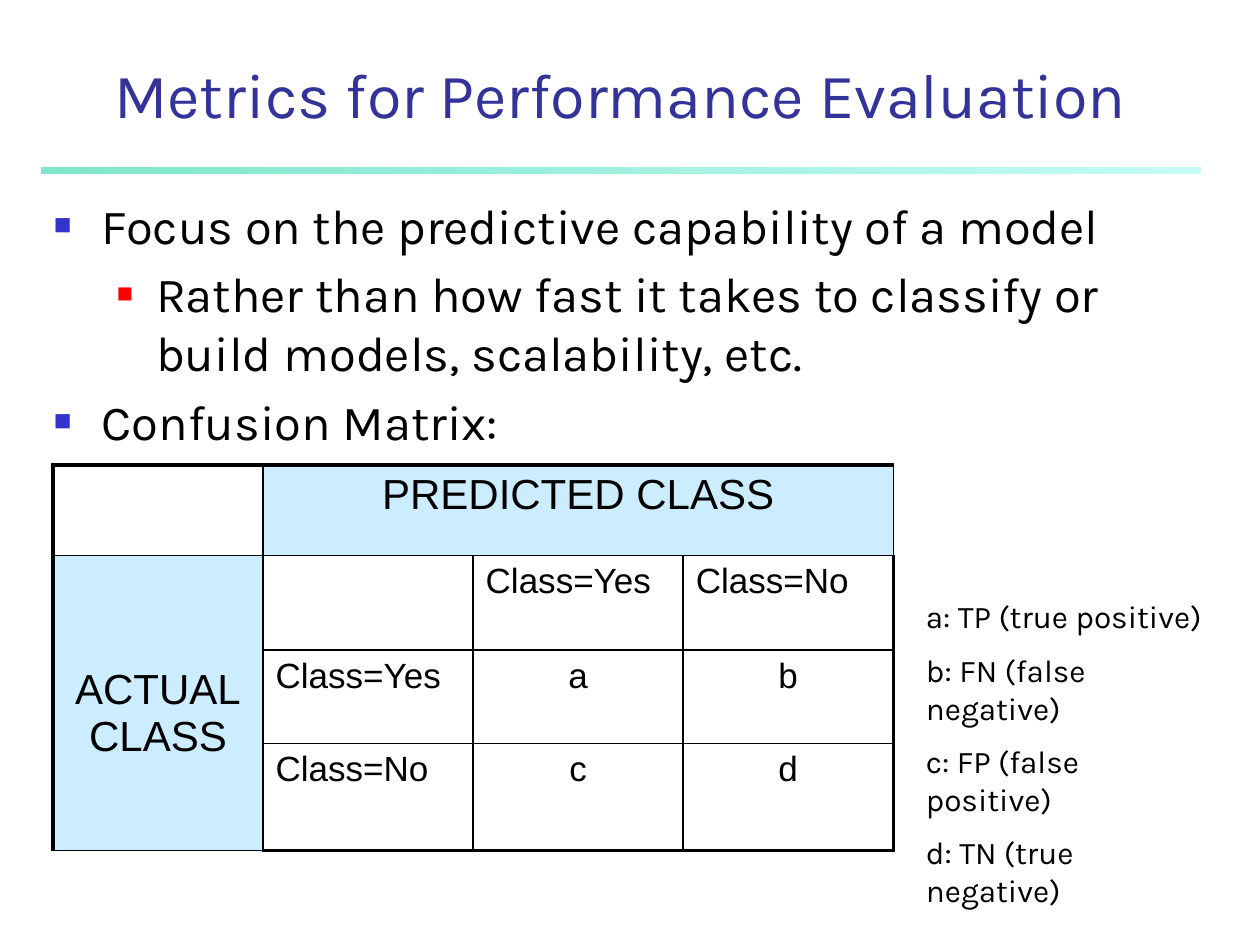
import dataclasses

import pptx
import pptx.dml.color
import pptx.enum.shapes
import pptx.enum.text
import pptx.oxml
import pptx.oxml.ns
import pptx.util

Inches = pptx.util.Inches
Pt = pptx.util.Pt
Align = pptx.enum.text.PP_ALIGN
Anchor = pptx.enum.text.MSO_ANCHOR


@dataclasses.dataclass(frozen=True)
class Theme:
    text_font: str = "Karla"
    table_font: str = "Arial"
    black: str = "000000"
    title: str = "333399"
    header: str = "CCECFF"
    bullets: tuple = (("3333CC", 60), ("FF0000", 55))
    rule: tuple = (("00CE98", 50), ("8FF9EF", 52))
    title_size: int = 36
    body_size: int = 28
    heading_size: int = 24
    cell_size: int = 20
    legend_size: int = 18
    outer_line: float = 2.25
    inner_line: float = 1


THEME = Theme()


def rgb(value):
    return pptx.dml.color.RGBColor.from_string(value)


def set_values(target, values):
    for name, value in values.items():
        setattr(target, name, value)


def add_element(parent, tag, **attributes):
    child = pptx.oxml.ns.qn(tag)
    element = parent.makeelement(child, attributes)
    parent.append(element)
    return element


def write_para(para, text, size, font, color=THEME.black, **layout):
    set_values(para, layout)
    for index, line in enumerate(text.split("\n")):
        if index:
            para.add_line_break()
        span = para.add_run()
        span.text = line
        set_values(span.font, {"size": Pt(size), "name": font})
        span.font.color.rgb = rgb(color)


def add_text_frame(page, box, anchor=Anchor.TOP):
    frame = page.shapes.add_textbox(*map(Inches, box)).text_frame
    set_values(frame, {"word_wrap": True, "vertical_anchor": anchor})
    return frame


def add_paras(frame, count):
    return [frame.paragraphs[0]] + [frame.add_paragraph() for _ in range(count - 1)]


def add_rule(page, box):
    rectangle = pptx.enum.shapes.MSO_SHAPE.RECTANGLE
    bar = page.shapes.add_shape(rectangle, *map(Inches, box))
    bar.shadow.inherit = False
    bar.line.fill.background()
    bar.fill.gradient()
    bar.fill.gradient_angle = 0
    for stop, (color, _) in zip(bar.fill.gradient_stops, THEME.rule):
        stop.color.rgb = rgb(color)
    colors = bar._element.spPr.iter(pptx.oxml.ns.qn("a:srgbClr"))
    for element, (_, opacity) in zip(colors, THEME.rule):
        add_element(element, "a:alpha", val=str(opacity * 1000))


def add_title(page, box, text):
    frame = add_text_frame(page, box, Anchor.BOTTOM)
    write_para(frame.paragraphs[0], text, THEME.title_size, THEME.text_font,
               THEME.title, alignment=Align.CENTER)


def set_bullet(para, level):
    color, size = THEME.bullets[level]
    left, hang = ((0.38, 0.38), (0.81, 0.31))[level]
    properties = para._p.get_or_add_pPr()
    properties.set("marL", str(Inches(left)))
    properties.set("indent", str(-Inches(hang)))
    bullet_color = add_element(properties, "a:buClr")
    add_element(bullet_color, "a:srgbClr", val=color)
    add_element(properties, "a:buSzPct", val=str(size * 1000))
    add_element(properties, "a:buFont", typeface=THEME.table_font)
    add_element(properties, "a:buChar", char="■")


def add_body(page, box, items):
    paras = add_paras(add_text_frame(page, box), len(items))
    for para, (level, text) in zip(paras, items):
        write_para(para, text, THEME.body_size, THEME.text_font,
                   level=level, space_before=Pt(THEME.body_size * 0.2))
        set_bullet(para, level)


def set_borders(cell, outer_sides):
    properties = cell._tc.get_or_add_tcPr()
    for side in "LRTB":
        width = THEME.outer_line if side in outer_sides else THEME.inner_line
        line = add_element(properties, f"a:ln{side}", w=str(Pt(width)))
        fill = add_element(line, "a:solidFill")
        add_element(fill, "a:srgbClr", val=THEME.black)


def fill_cell(cell, color):
    if color:
        cell.fill.solid()
        cell.fill.fore_color.rgb = rgb(color)
    else:
        cell.fill.background()


def add_matrix(page, box, heights, texts):
    last = len(texts) - 1
    table = page.shapes.add_table(last + 1, last + 1, *map(Inches, box)).table
    set_values(table, {"first_row": False, "horz_banding": False})
    for row, height in zip(table.rows, heights):
        row.height = Inches(height)
    for r, row in enumerate(texts):
        for c, text in enumerate(row):
            cell = table.cell(r, c)
            edges = {"L": c == 0, "R": c == last, "T": r == 0, "B": r == last}
            set_borders(cell, [side for side, outer in edges.items() if outer])
            heading = (r == 0) != (c == 0)
            fill_cell(cell, THEME.header if heading else None)
            if text:
                size = THEME.heading_size if heading else THEME.cell_size
                centred = heading or min(r, c) > 1
                write_para(cell.text_frame.paragraphs[0], text, size, THEME.table_font,
                           alignment=Align.CENTER if centred else Align.LEFT,
                           space_before=Pt(size * 0.1), space_after=Pt(4))
    table.cell(0, 1).merge(table.cell(0, last))
    table.cell(1, 0).merge(table.cell(last, 0))
    table.cell(1, 0).margin_top = Inches(0.88)


def add_legend(page, box, lines):
    paras = add_paras(add_text_frame(page, box), len(lines))
    for para, text in zip(paras, lines):
        write_para(para, text, THEME.legend_size, THEME.text_font,
                   space_before=Pt(THEME.legend_size * 0.5))


def main():
    deck = pptx.Presentation()
    set_values(deck, {"slide_width": Inches(10), "slide_height": Inches(7.5)})
    page = deck.slides.add_slide(deck.slide_layouts[6])
    add_rule(page, (0.33, 1.33, 9.2, 0.05))
    add_title(page, (0.33, 0.42, 9.19, 0.67), "Metrics for Performance Evaluation")
    add_body(page, (0.33, 1.5, 9.25, 5.58), [
        (0, "Focus on the predictive capability of a model"),
        (1, "Rather than how fast it takes to classify or build models, scalability, etc."),
        (0, "Confusion Matrix:"),
    ])
    add_matrix(page, (0.42, 3.69, 6.67, 3.06), (0.72, 0.75, 0.74, 0.85), [
        ("", "PREDICTED CLASS", "", ""),
        ("ACTUAL\nCLASS", "", "Class=Yes", "Class=No"),
        ("", "Class=Yes", "a", "b"),
        ("", "Class=No", "c", "d"),
    ])
    add_legend(page, (7.25, 4.69, 2.42, 1.38), [
        "a: TP (true positive)",
        "b: FN (false negative)",
        "c: FP (false positive)",
        "d: TN (true negative)",
    ])
    deck.save("out.pptx")


if __name__ == "__main__":
    main()
